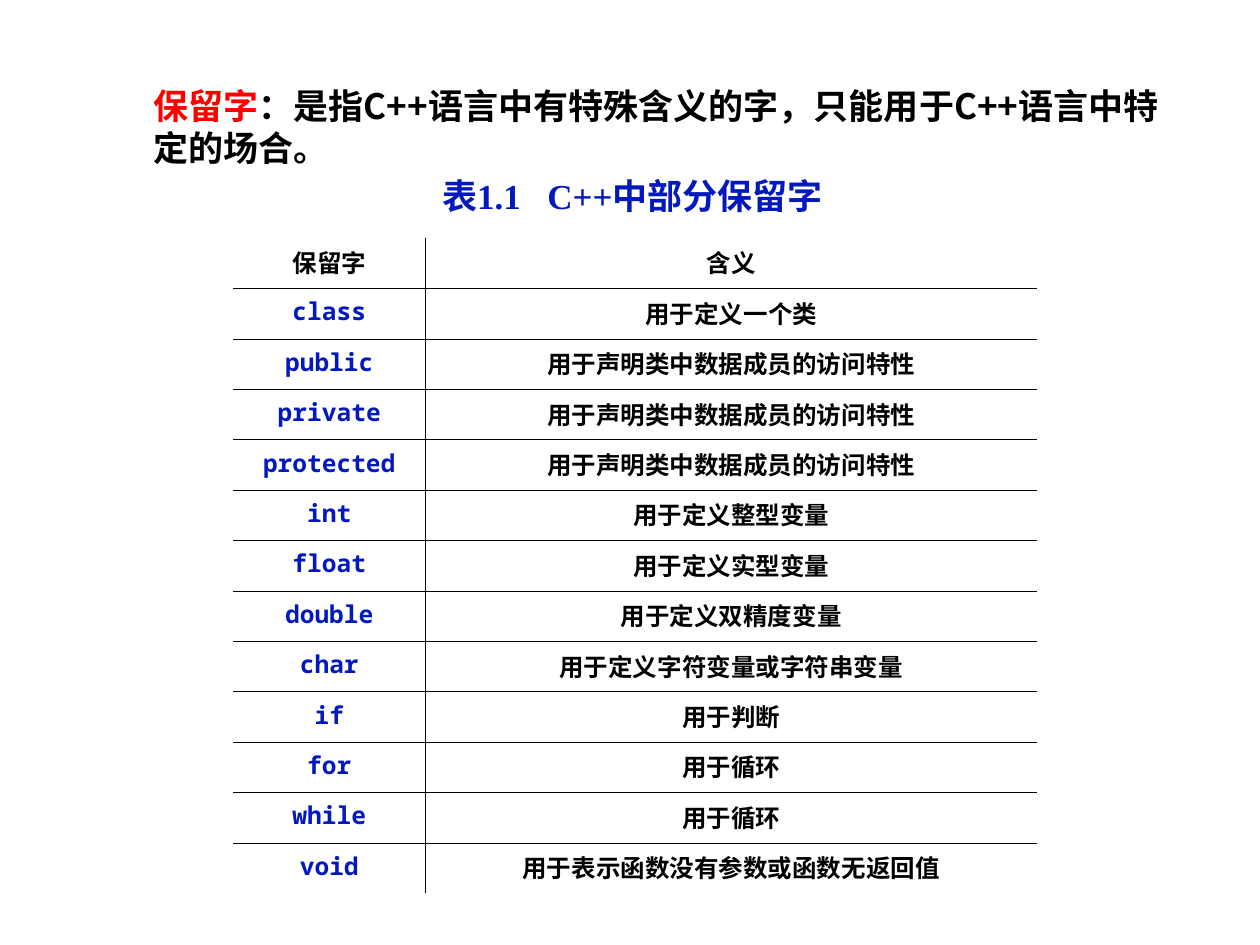
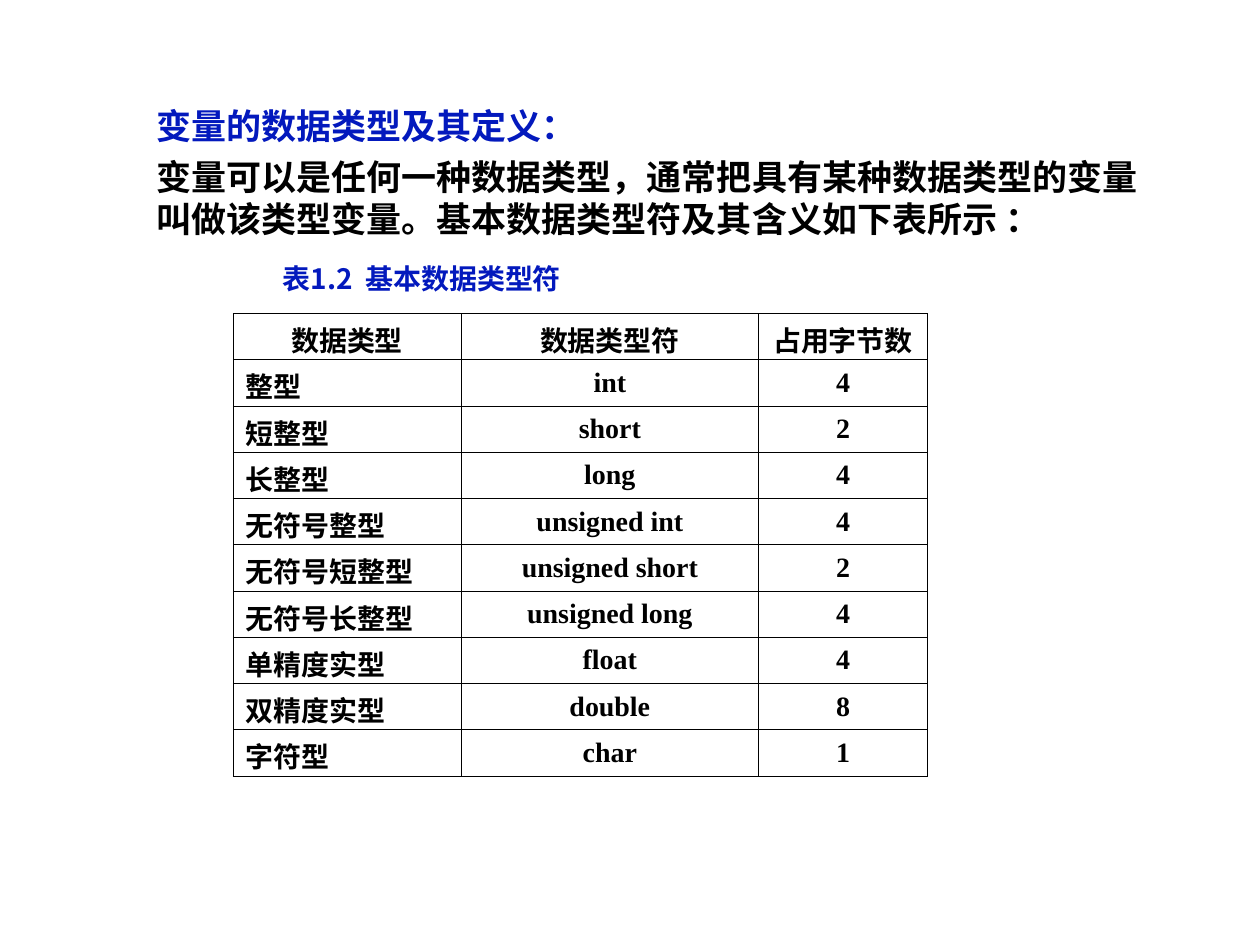
import dataclasses
import itertools

import lxml.etree
import pptx
import pptx.dml.color
import pptx.enum.text
import pptx.oxml.ns
import pptx.util

Pt = pptx.util.Pt
ALIGN = pptx.enum.text.PP_ALIGN
ANCHOR = pptx.enum.text.MSO_ANCHOR
qn = pptx.oxml.ns.qn

# Shared look
COLORS = {"ink": "000000", "key": "0319BD", "alert": "FF0000"}
HAN, MONO, SERIF, SANS = ("Noto Sans CJK SC", "Noto Sans Mono",
                          "Times New Roman", "Arial")
PLAIN = "{2D5ABB26-0587-4C30-8999-92F81FD0307C}"


@dataclasses.dataclass
class Run:
    text: str
    color: str = "ink"
    font: str = HAN
    size: float = 20
    gap: float = 0  # extra letter spacing


@dataclasses.dataclass
class Para:
    runs: list[Run]
    align: ALIGN = ALIGN.LEFT
    before: float = 0
    indent: float = 0


@dataclasses.dataclass
class Box:
    left: float
    top: float
    width: float
    height: float
    paras: list[Para]
    anchor: ANCHOR = ANCHOR.TOP


@dataclasses.dataclass
class Grid:
    left: float
    top: float
    widths: list[float]
    row: float
    cells: list[list[Run]]
    aligns: list[ALIGN]
    line: float
    framed: bool
    anchor: ANCHOR
    pads: tuple[float, float]  # top and bottom margins of Chinese cells


def fill_para(para, data: Para) -> None:
    para.alignment = data.align
    if data.before:
        para.space_before = Pt(data.before)
    if data.indent:
        para._p.get_or_add_pPr().set("indent", str(Pt(data.indent)))
    for item in data.runs:
        run = para.add_run()
        run.text = item.text
        font = run.font
        font.size, font.bold, font.name = Pt(item.size), True, item.font
        font.color.rgb = pptx.dml.color.RGBColor.from_string(COLORS[item.color])
        props = run._r.get_or_add_rPr()
        lxml.etree.SubElement(props, qn("a:ea"), typeface=HAN)
        if item.gap:
            props.set("spc", str(round(item.gap * 100)))


def draw_box(slide, box: Box) -> None:
    shape = slide.shapes.add_textbox(Pt(box.left), Pt(box.top),
                                     Pt(box.width), Pt(box.height))
    frame = shape.text_frame
    frame.word_wrap = True
    frame.margin_top = Pt(5.2)
    frame.vertical_anchor = box.anchor
    for i, data in enumerate(box.paras):
        para = frame.add_paragraph() if i else frame.paragraphs[0]
        fill_para(para, data)
        para.line_spacing = Pt(1.2 * data.runs[0].size)


def draw_edges(cell, sides: dict[str, bool], width: float) -> None:
    props = cell._tc.get_or_add_tcPr()
    for i, (side, shown) in enumerate(sides.items()):
        line = lxml.etree.Element(qn(f"a:ln{side}"), w=str(Pt(width)))
        if shown:
            solid = lxml.etree.SubElement(line, qn("a:solidFill"))
            lxml.etree.SubElement(solid, qn("a:srgbClr"), val=COLORS["ink"])
        else:
            lxml.etree.SubElement(line, qn("a:noFill"))
        props.insert(i, line)


def draw_grid(slide, grid: Grid) -> None:
    rows, cols = len(grid.cells), len(grid.widths)
    frame = slide.shapes.add_table(rows, cols, Pt(grid.left), Pt(grid.top),
                                   Pt(sum(grid.widths)), Pt(grid.row * rows))
    table = frame.table
    table.first_row = table.horz_banding = False
    table._tbl.tblPr.find(qn("a:tableStyleId")).text = PLAIN
    for col, width in zip(table.columns, grid.widths):
        col.width = Pt(width)
    for row in table.rows:
        row.height = Pt(grid.row)
    for r, c in itertools.product(range(rows), range(cols)):
        cell, run = table.cell(r, c), grid.cells[r][c]
        align = grid.aligns[c] if r else ALIGN.CENTER
        fill_para(cell.text_frame.paragraphs[0], Para([run], align))
        cell.vertical_anchor = grid.anchor
        if not run.text.isascii():
            cell.margin_top, cell.margin_bottom = map(Pt, grid.pads)
        cell.fill.background()
        draw_edges(cell, {"L": grid.framed or c > 0,
                          "R": grid.framed or c < cols - 1,
                          "T": grid.framed or r > 0,
                          "B": grid.framed or r < rows - 1}, grid.line)


# Table contents
MEMBER = "用于声明类中数据成员的访问特性"
WORDS = [
    ("保留字", "含义"),
    ("class", "用于定义一个类"),
    ("public", MEMBER),
    ("private", MEMBER),
    ("protected", MEMBER),
    ("int", "用于定义整型变量"),
    ("float", "用于定义实型变量"),
    ("double", "用于定义双精度变量"),
    ("char", "用于定义字符变量或字符串变量"),
    ("if", "用于判断"),
    ("for", "用于循环"),
    ("while", "用于循环"),
    ("void", "用于表示函数没有参数或函数无返回值"),
]
TYPES = [
    ("数据类型", "数据类型符", "占用字节数"),
    ("整型", "int", "4"),
    ("短整型", "short", "2"),
    ("长整型", "long", "4"),
    ("无符号整型", "unsigned int", "4"),
    ("无符号短整型", "unsigned short", "2"),
    ("无符号长整型", "unsigned long", "4"),
    ("单精度实型", "float", "4"),
    ("双精度实型", "double", "8"),
    ("字符型", "char", "1"),
]


def word_run(text: str) -> Run:
    if text.isascii():
        return Run(text, "key", MONO, 14)
    return Run(text, size=14)


def draw_words(slide) -> None:
    """Reserved words."""
    draw_box(slide, Box(80.6, 49, 596.2, 45.4, [Para([
        Run("保留字", "alert"),
        Run("：是指C++语言中有特殊含义的字，只能用于C++语言中特定的场合。"),
    ])], ANCHOR.MIDDLE))
    draw_box(slide, Box(161.3, 94.3, 400.3, 31.7, [Para([
        Run("表", "key"), Run("1.1", "key", SERIF),
        Run(" ", "key", SERIF, gap=10), Run("C++", "key", SERIF),
        Run("中部分保留字", "key"),
    ], ALIGN.CENTER)]))
    cells = [[word_run(text) for text in row] for row in WORDS]
    draw_grid(slide, Grid(133.2, 136, [110, 349.4], 28.8, cells,
                          [ALIGN.CENTER] * 2, 0.34, False, ANCHOR.TOP,
                          (3.6, 3.6)))


def draw_types(slide) -> None:
    """Basic data types."""
    draw_box(slide, Box(82.1, 54.7, 527, 31.7, [
        Para([Run("变量的数据类型及其定义：", "key", SANS)])]))
    draw_box(slide, Box(82.1, 83.5, 583.9, 89.3, [
        Para([Run("变量可以是任何一种数据类型，通常把具有某种数据类型的变量"
                  "叫做该类型变量。基本数据类型符及其含义如下表所示 ：",
                  font=SANS)]),
        Para([Run("表1.2", "key", size=16), Run(" ", "key", size=16, gap=3.6),
              Run("基本数据类型符", "key", size=16)], before=13, indent=72.5),
    ]))
    cells = [[Run(text, font=SERIF, size=16) for text in row] for row in TYPES]
    draw_grid(slide, Grid(133.2, 179.2, [130.3, 170, 96.5], 26.4, cells,
                          [ALIGN.LEFT, ALIGN.CENTER, ALIGN.CENTER], 0.45,
                          True, ANCHOR.MIDDLE, (3.2, 0)))


def main() -> None:
    deck = pptx.Presentation()
    deck.slide_width, deck.slide_height = Pt(720), Pt(540)
    for draw in (draw_words, draw_types):
        draw(deck.slides.add_slide(deck.slide_layouts[6]))
    deck.save("out.pptx")


if __name__ == "__main__":
    main()
